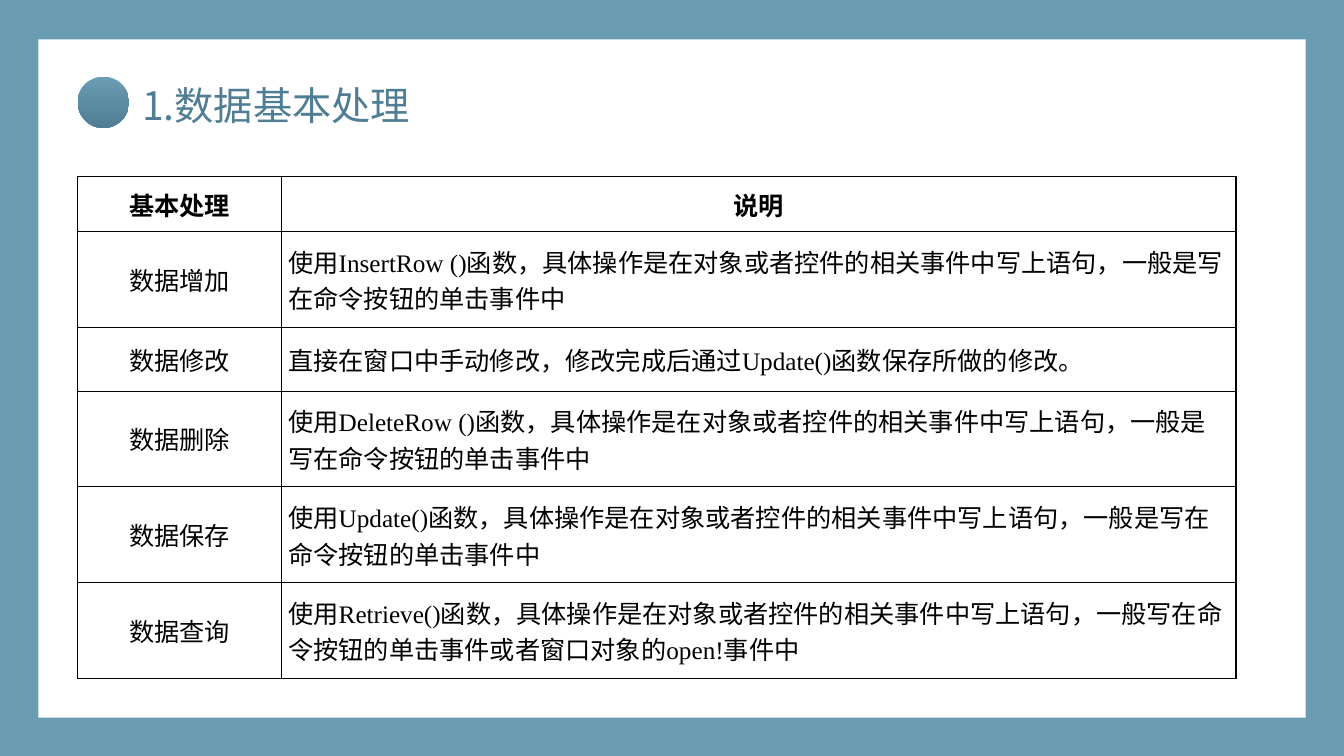
import pptx
import pptx.util
import pptx.dml.color
import pptx.enum.shapes
import pptx.enum.text
import pptx.oxml
import pptx.oxml.ns

Inches = pptx.util.Inches
RGB = pptx.dml.color.RGBColor
TEAL = RGB(0x6A, 0x9D, 0xB2)
DEEP = RGB(0x4F, 0x7D, 0x94)
WHITE = RGB(255, 255, 255)
BLACK = RGB(0, 0, 0)
EDGE = RGB(8, 0, 0)
SANS = "Noto Sans CJK SC"
SERIF = "Times New Roman"
ALIGN = pptx.enum.text.PP_ALIGN
MID = pptx.enum.text.MSO_ANCHOR.MIDDLE
KIND = pptx.enum.shapes.MSO_SHAPE
NS = pptx.oxml.ns.nsdecls("a")


def put(item, form):
    for key, val in form.items():
        setattr(item, key, val)


def write(para, text, size, face, color, bold, align):
    para.alignment = align
    run = para.add_run()
    run.text = text
    put(run.font, {"size": pptx.util.Pt(size), "name": face, "bold": bold})
    run.font.color.rgb = color
    run.font._element.append(pptx.oxml.parse_xml(f'<a:ea {NS} typeface="{SANS}"/>'))


deck = pptx.Presentation()
put(deck, {"slide_width": Inches(13.33), "slide_height": Inches(7.5)})
slide = deck.slides.add_slide(deck.slide_layouts[5])
shapes = slide.shapes
title = shapes.title

# Teal frame around a white panel
slide.background.fill.solid()
slide.background.fill.fore_color.rgb = TEAL
panel = shapes.add_shape(KIND.RECTANGLE, Inches(0.38), Inches(0.39), Inches(12.57), Inches(6.73))
panel.fill.solid()
panel.fill.fore_color.rgb = WHITE
shapes._spTree.remove(panel._element)
shapes._spTree.insert(2, panel._element)

# Title
put(title, {"left": Inches(1.41), "top": Inches(0.81),
            "width": Inches(5.26), "height": Inches(0.47)})
put(title.text_frame, {"margin_left": 0, "margin_top": 0, "margin_right": 0,
                       "margin_bottom": 0, "vertical_anchor": MID, "word_wrap": True,
                       "auto_size": pptx.enum.text.MSO_AUTO_SIZE.NONE})
write(title.text_frame.paragraphs[0], "1.数据基本处理", 28, SANS, DEEP, False, ALIGN.JUSTIFY)

# Round badge
badge = shapes.add_shape(KIND.OVAL, Inches(0.77), Inches(0.76), Inches(0.51), Inches(0.51))
badge.fill.gradient()
badge.fill.gradient_angle = 270
for stop, color in zip(badge.fill.gradient_stops, (TEAL, DEEP)):
    stop.color.rgb = color

# Page icon: sheet, folded corner, sheet behind
parts = [
    [(0.95, 0.86), (1.03, 0.86), (1.03, 0.94), (1.04, 0.96), (1.06, 0.97), (1.15, 0.97),
     (1.15, 1.13), (1.13, 1.15), (0.95, 1.15), (0.93, 1.13), (0.93, 0.87)],
    [(1.04, 0.86), (1.15, 0.96), (1.06, 0.96), (1.04, 0.94)],
    [(0.92, 0.89), (0.92, 1.13), (0.93, 1.15), (0.95, 1.16), (1.12, 1.16), (1.1, 1.18),
     (0.93, 1.18), (0.91, 1.17), (0.9, 1.15), (0.9, 0.9)],
]
pen = shapes.build_freeform(*parts[0][0], scale=Inches(1))
for part in parts:
    if part is not parts[0]:
        pen.move_to(*part[0])
    pen.add_line_segments(part[1:], close=True)
page = pen.convert_to_shape()
page.fill.solid()
page.fill.fore_color.rgb = WHITE

for shape in (panel, badge, page):
    shape.line.fill.background()
    shape.shadow.inherit = False

# Table of operations
TAIL = "函数，具体操作是在对象或者控件的相关事件中写上语句，一般"
CLICK = "写在命令按钮的单击事件"
rows = [
    ("基本处理", "说明", 0.55),
    ("数据增加", f"使用InsertRow (){TAIL}是{CLICK}中", 0.95),
    ("数据修改", "直接在窗口中手动修改，修改完成后通过Update()函数保存所做的修改。", 0.63),
    ("数据删除", f"使用DeleteRow (){TAIL}是{CLICK}中", 0.95),
    ("数据保存", f"使用Update(){TAIL}是{CLICK}中", 0.95),
    ("数据查询", f"使用Retrieve(){TAIL}{CLICK}或者窗口对象的open!事件中", 0.95),
]
table = shapes.add_table(len(rows), 2, Inches(0.77), Inches(1.75),
                         Inches(11.49), Inches(4.98)).table
put(table, {"first_row": False, "horz_banding": False})
for col, width in zip(table.columns, (2.02, 9.47)):
    col.width = Inches(width)

for r, (name, note, height) in enumerate(rows):
    table.rows[r].height = Inches(height)
    for c, text in enumerate((name, note)):
        cell = table.cell(r, c)
        put(cell, {"margin_left": Inches(0.07), "margin_right": Inches(0.07),
                   "margin_top": 0, "margin_bottom": 0, "vertical_anchor": MID})
        align = ALIGN.LEFT if r and c else ALIGN.CENTER
        write(cell.text_frame.paragraphs[0], text, 18, SERIF, BLACK, r == 0, align)
        # Borders come before the fill in the cell properties
        props = cell._tc.get_or_add_tcPr()
        for side in ("lnL", "lnR", "lnT", "lnB"):
            props.append(pptx.oxml.parse_xml(
                f'<a:{side} {NS} w="12700"><a:solidFill><a:srgbClr val="{EDGE}"/>'
                f'</a:solidFill></a:{side}>'))
        cell.fill.solid()
        cell.fill.fore_color.rgb = WHITE

deck.save("out.pptx")
